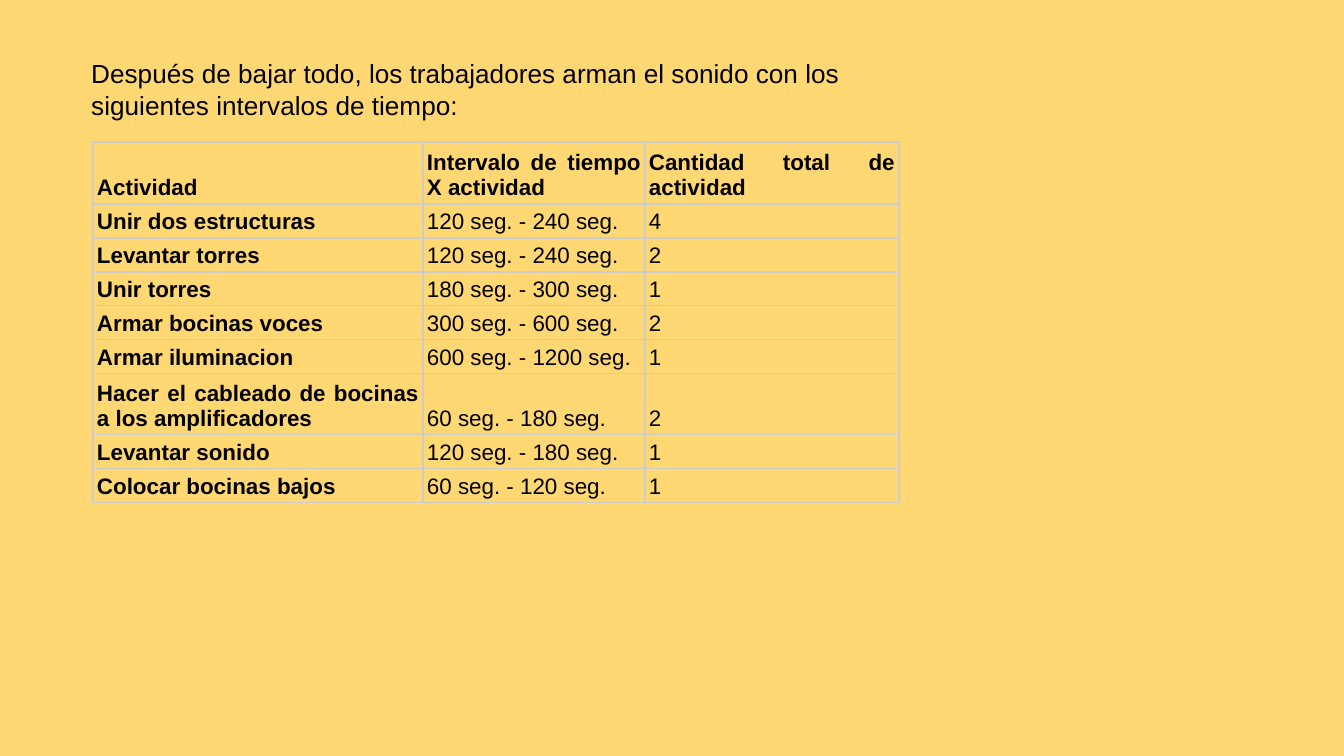
from dataclasses import dataclass

import lxml.etree
import pptx
import pptx.dml.color
import pptx.enum.text
import pptx.oxml.ns
import pptx.util

PX = 914400 / 134.4


@dataclass(frozen=True)
class Theme:
    """Colours and type of the slide."""
    background: str = "FFD873"
    ink: str = "000000"
    border: str = "CCCCCC"
    border_pt: float = 0.75
    font: str = "Arial"
    intro_pt: int = 14
    table_pt: int = 12


THEME = Theme()
INTRO = ("Después de bajar todo, los trabajadores arman el sonido con los "
         "siguientes intervalos de tiempo:")
ACTIVITIES = [
    ("Actividad", "Intervalo de tiempo X actividad", "Cantidad total de actividad"),
    ("Unir dos estructuras", "120 seg. - 240 seg.", "4"),
    ("Levantar torres", "120 seg. - 240 seg.", "2"),
    ("Unir torres", "180 seg. - 300 seg.", "1"),
    ("Armar bocinas voces", "300 seg. - 600 seg.", "2"),
    ("Armar iluminacion", "600 seg. - 1200 seg.", "1"),
    ("Hacer el cableado de bocinas a los amplificadores", "60 seg. - 180 seg.", "2"),
    ("Levantar sonido", "120 seg. - 180 seg.", "1"),
    ("Colocar bocinas bajos", "60 seg. - 120 seg.", "1"),
]
COLUMN_WIDTHS = (330, 222, 254)
ROW_HEIGHT = 34
TALL_ROWS = {0: 62, 6: 61}


def px(length):
    """Turn pixels into EMU."""
    return pptx.util.Emu(round(length * PX))


def apply(target, values):
    """Set each attribute in a dict of format values."""
    for name, value in values.items():
        setattr(target, name, value)


def format_text(paragraph, size, bold=False):
    """Give a paragraph the theme font."""
    apply(paragraph.font, {"name": THEME.font, "size": pptx.util.Pt(size), "bold": bold})
    paragraph.font.color.rgb = pptx.dml.color.RGBColor.from_string(THEME.ink)


def draw_borders(cell):
    """Line all four sides of a cell."""
    qn = pptx.oxml.ns.qn
    properties = cell._tc.get_or_add_tcPr()
    for side in ("a:lnL", "a:lnR", "a:lnT", "a:lnB"):
        line = lxml.etree.SubElement(
            properties, qn(side), w=str(pptx.util.Pt(THEME.border_pt)))
        fill = lxml.etree.SubElement(line, qn("a:solidFill"))
        lxml.etree.SubElement(fill, qn("a:srgbClr"), val=THEME.border)


def add_intro(slide, left, top, width, height):
    """Place the introductory sentence."""
    intro = slide.shapes.add_textbox(px(left), px(top), px(width), px(height)).text_frame
    apply(intro, {"word_wrap": True, "text": INTRO,
                  "auto_size": pptx.enum.text.MSO_AUTO_SIZE.SHAPE_TO_FIT_TEXT})
    format_text(intro.paragraphs[0], THEME.intro_pt)


def add_activities(slide, left, top):
    """Place the table of activities and their times."""
    heights = [TALL_ROWS.get(index, ROW_HEIGHT) for index in range(len(ACTIVITIES))]
    activities = slide.shapes.add_table(
        len(heights), len(COLUMN_WIDTHS), px(left), px(top),
        px(sum(COLUMN_WIDTHS)), px(sum(heights))).table
    apply(activities, {"first_row": False, "horz_banding": False})
    for column, width in zip(activities.columns, COLUMN_WIDTHS):
        column.width = px(width)
    for row, height in zip(activities.rows, heights):
        row.height = px(height)
    margins = {f"margin_{side}": px(4) for side in ("left", "right", "top", "bottom")}
    for r, entries in enumerate(ACTIVITIES):
        for c, entry in enumerate(entries):
            cell = activities.cell(r, c)
            apply(cell, {**margins, "text": entry,
                         "vertical_anchor": pptx.enum.text.MSO_ANCHOR.BOTTOM})
            draw_borders(cell)
            cell.fill.background()
            paragraph = cell.text_frame.paragraphs[0]
            paragraph.alignment = pptx.enum.text.PP_ALIGN.JUSTIFY
            format_text(paragraph, THEME.table_pt, bold=r == 0 or c == 0)


def main():
    """Build and save the slide."""
    deck = pptx.Presentation()
    apply(deck, {"slide_width": px(1344), "slide_height": px(756)})
    slide = deck.slides.add_slide(deck.slide_layouts[6])
    slide.background.fill.solid()
    slide.background.fill.fore_color.rgb = pptx.dml.color.RGBColor.from_string(THEME.background)
    add_activities(slide, 93, 142)
    add_intro(slide, 78, 51, 820, 77)
    deck.save("out.pptx")


if __name__ == "__main__":
    main()
